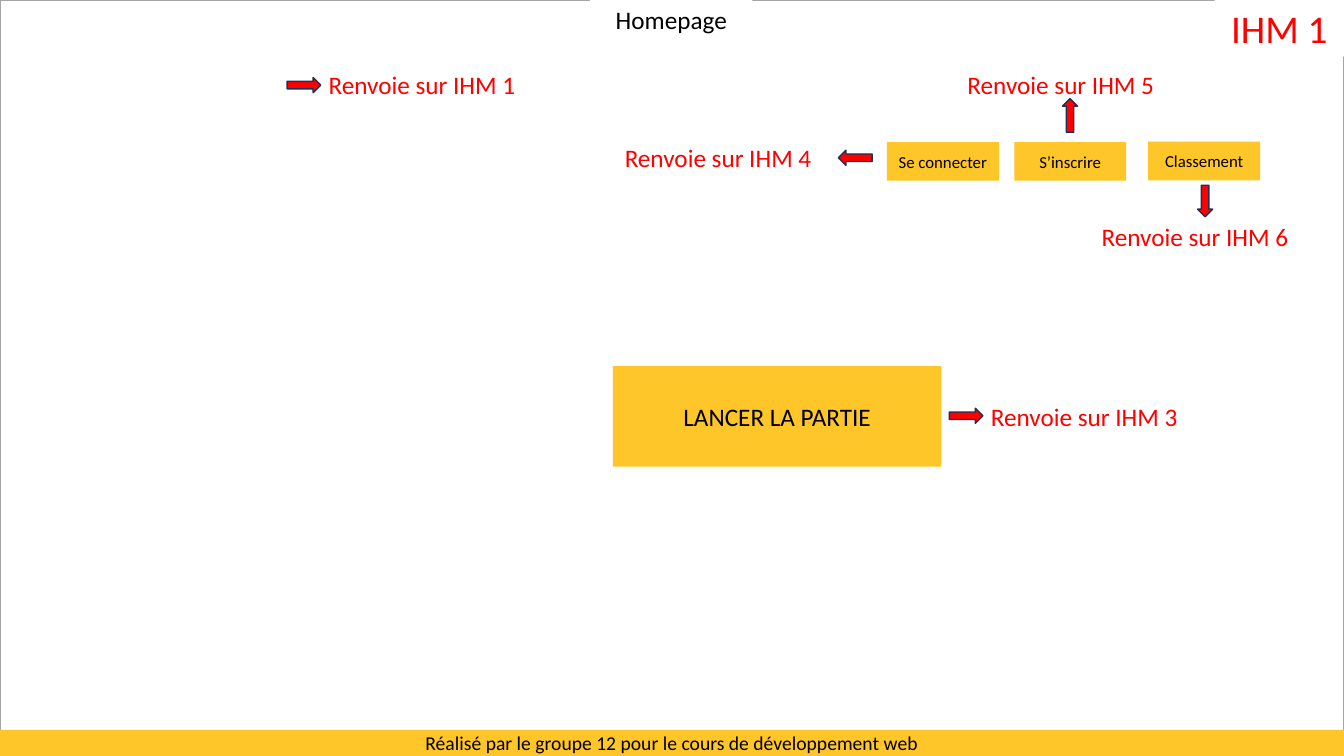
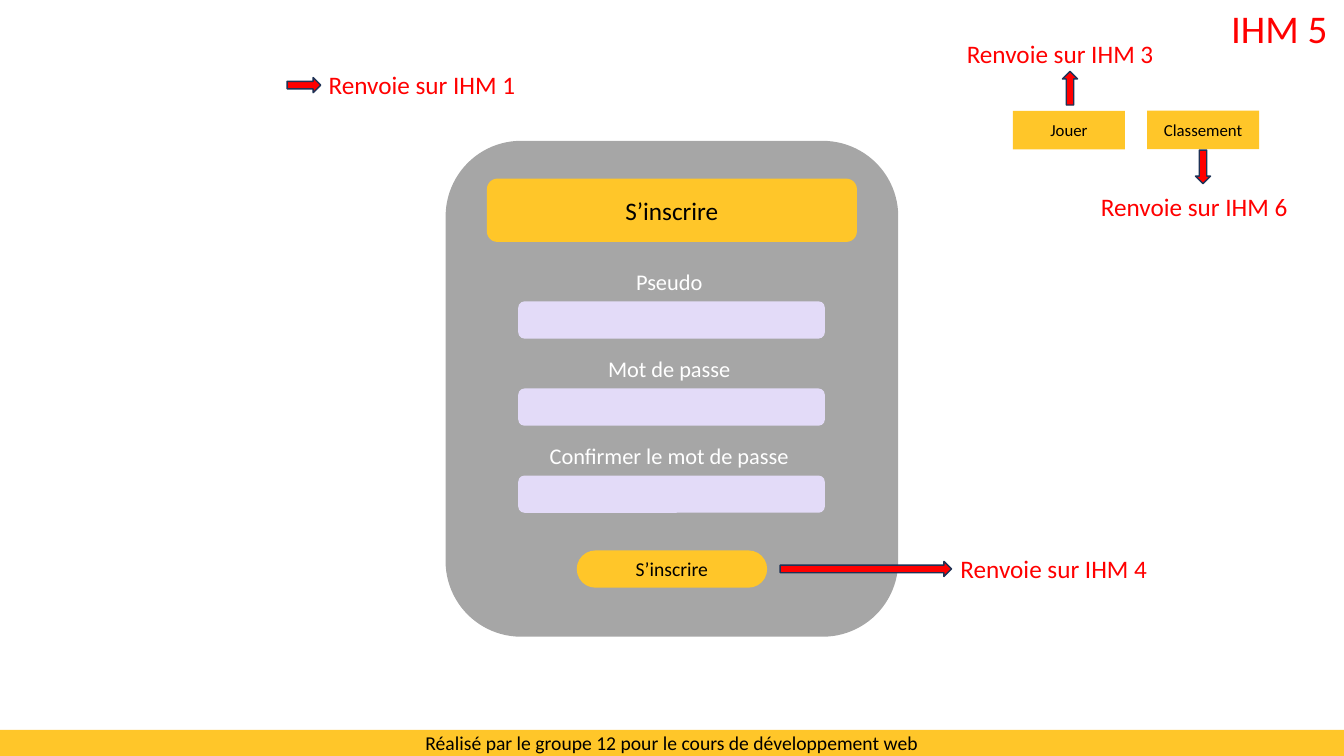
import lxml.etree
import pptx
import pptx.dml.color
import pptx.enum.shapes
import pptx.enum.text
import pptx.oxml.ns
import pptx.util

Pt = pptx.util.Pt
SHAPE = pptx.enum.shapes.MSO_SHAPE
ALIGN = pptx.enum.text.PP_ALIGN
ANCHOR = pptx.enum.text.MSO_ANCHOR

FONT = "Calibri"
YELLOW, RED, NAVY, LILAC = "FFC629", "FF0000", "1E3256", "E3DBF8"
GREY, BLACK, WHITE = "A5A5A5", "000000", "FFFFFF"
WIDTH, HEIGHT = 960, 540
FOOTER = "Réalisé par le groupe 12 pour le cours de développement web"
FOOTER_HEIGHT = 18.7
LINK_SIZE = (160, 29)
BUTTON_SIZE = (80, 27.6)
ARROW_LENGTH, ARROW_THICKNESS = 24, 10.8
ARROWS = {
    "left": SHAPE.LEFT_ARROW,
    "right": SHAPE.RIGHT_ARROW,
    "up": SHAPE.UP_ARROW,
    "down": SHAPE.DOWN_ARROW,
}

HOME_LINK = ("IHM 1", 227.7, 46, "right", 217.1, 60.8, ARROW_LENGTH)
HOME = {
    "name": "IHM 1",
    "buttons": [
        ("Se connecter", 633.5, 101.5),
        ("S’inscrire", 724.5, 101.5),
        ("Classement", 820.2, 101.2),
    ],
    "links": [
        HOME_LINK,
        ("IHM 3", 700.7, 283, "right", 690.1, 297, ARROW_LENGTH),
        ("IHM 4", 439.2, 98, "left", 610.9, 112.7, ARROW_LENGTH),
        ("IHM 5", 684, 46, "up", 764.3, 82.4, ARROW_LENGTH),
        ("IHM 6", 779.8, 154.8, "down", 860.8, 143.6, 22.5),
    ],
}
SIGN_UP = {
    "name": "IHM 5",
    "buttons": [("Jouer", 723.6, 79.2), ("Classement", 819.4, 79)],
    "links": [
        HOME_LINK,
        ("IHM 3", 683.5, 23.8, "up", 764.3, 63, ARROW_LENGTH),
        ("IHM 4", 679, 391.7, "right", 618.5, 406.4, 122.4),
        ("IHM 6", 779.3, 133.2, "down", 859.3, 119.2, ARROW_LENGTH),
    ],
}
FIELDS = ["Pseudo", "Mot de passe", "Confirmer le mot de passe"]
FIELD_TOP, FIELD_PITCH = 215.3, 62.2
LABEL_RISE = 27.3


def rgb(value):
    """Turn a hex string into a colour."""
    return pptx.dml.color.RGBColor.from_string(value)


def write(shape, text, size, color, align=ALIGN.CENTER, anchor=ANCHOR.MIDDLE):
    """Set one styled paragraph in a shape."""
    frame = shape.text_frame
    frame.word_wrap = True
    frame.vertical_anchor = anchor
    frame.text = text
    paragraph = frame.paragraphs[0]
    paragraph.alignment = align
    font = paragraph.runs[0].font
    font.name, font.size, font.color.rgb = FONT, Pt(size), rgb(color)


def block(slide, box, fill=None, line=None, kind=SHAPE.RECTANGLE):
    """Add a flat shape with optional fill and outline."""
    shape = slide.shapes.add_shape(kind, *map(Pt, box))
    shape.shadow.inherit = False
    if fill:
        shape.fill.solid()
        shape.fill.fore_color.rgb = rgb(fill)
    else:
        shape.fill.background()
    if line:
        shape.line.color.rgb = rgb(line)
        shape.line.width = Pt(1)
    else:
        shape.line.fill.background()
    return shape


def label(slide, box, text, size, color, align=ALIGN.LEFT):
    """Add a text box anchored at the top."""
    write(slide.shapes.add_textbox(*map(Pt, box)), text, size, color, align, ANCHOR.TOP)


def link(slide, target, left, top, direction, center_x, center_y, length):
    """Add an arrow and the screen it leads to."""
    width, height = length, ARROW_THICKNESS
    if direction in ("up", "down"):
        width, height = height, width
    box = (center_x - width / 2, center_y - height / 2, width, height)
    block(slide, box, RED, NAVY, ARROWS[direction])
    label(slide, (left, top, *LINK_SIZE), f"Renvoie sur {target}", 18, RED)


def add_home(slide):
    """Draw the frame, page title and play button."""
    block(slide, (0, 0, WIDTH, HEIGHT), line=GREY)
    title = block(slide, (421.5, -0.7, 116, 29), WHITE)
    write(title, "Homepage", 18, BLACK, anchor=ANCHOR.TOP)
    play = block(slide, (437.8, 261.4, 234.7, 72), YELLOW)
    write(play, "LANCER LA PARTIE", 18, BLACK)


def add_form(slide):
    """Draw the sign-up form."""
    qn = pptx.oxml.ns.qn
    rounded = SHAPE.ROUNDED_RECTANGLE
    panel = block(slide, (318.3, 100.6, 323.3, 354.2), BLACK, kind=rounded)
    color = panel.element.spPr.find(f"{qn('a:solidFill')}/{qn('a:srgbClr')}")
    lxml.etree.SubElement(color, qn("a:alpha"), val="35000")
    header = block(slide, (347.8, 127.6, 264.3, 45.2), YELLOW, kind=rounded)
    write(header, "S’inscrire", 18, BLACK)
    for index, name in enumerate(FIELDS):
        top = FIELD_TOP + index * FIELD_PITCH
        label(slide, (369, top - LABEL_RISE, 218, 26.6), name, 16, WHITE, ALIGN.CENTER)
        block(slide, (370.2, top, 219, 26.6), LILAC, kind=rounded)
    submit = block(slide, (412, 393.2, 136, 26.6), YELLOW, kind=rounded)
    submit.adjustments[0] = 0.5
    write(submit, "S’inscrire", 14, BLACK)


def add_common(slide, screen):
    """Draw the footer, screen name, buttons and links."""
    footer = block(slide, (0, HEIGHT - FOOTER_HEIGHT, WIDTH, FOOTER_HEIGHT), YELLOW)
    write(footer, FOOTER, 14, BLACK)
    badge = block(slide, (867.6, -0.7, 92.4, 41.2), WHITE)
    write(badge, screen["name"], 28, RED, anchor=ANCHOR.TOP)
    for text, left, top in screen["buttons"]:
        button = block(slide, (left, top, *BUTTON_SIZE), YELLOW)
        write(button, text, 12, BLACK)
    for entry in screen["links"]:
        link(slide, *entry)


def main():
    """Build and save the two screens."""
    deck = pptx.Presentation()
    deck.slide_width, deck.slide_height = Pt(WIDTH), Pt(HEIGHT)
    for screen, add_content in ((HOME, add_home), (SIGN_UP, add_form)):
        slide = deck.slides.add_slide(deck.slide_layouts[6])
        add_content(slide)
        add_common(slide, screen)
    deck.save("out.pptx")


if __name__ == "__main__":
    main()
